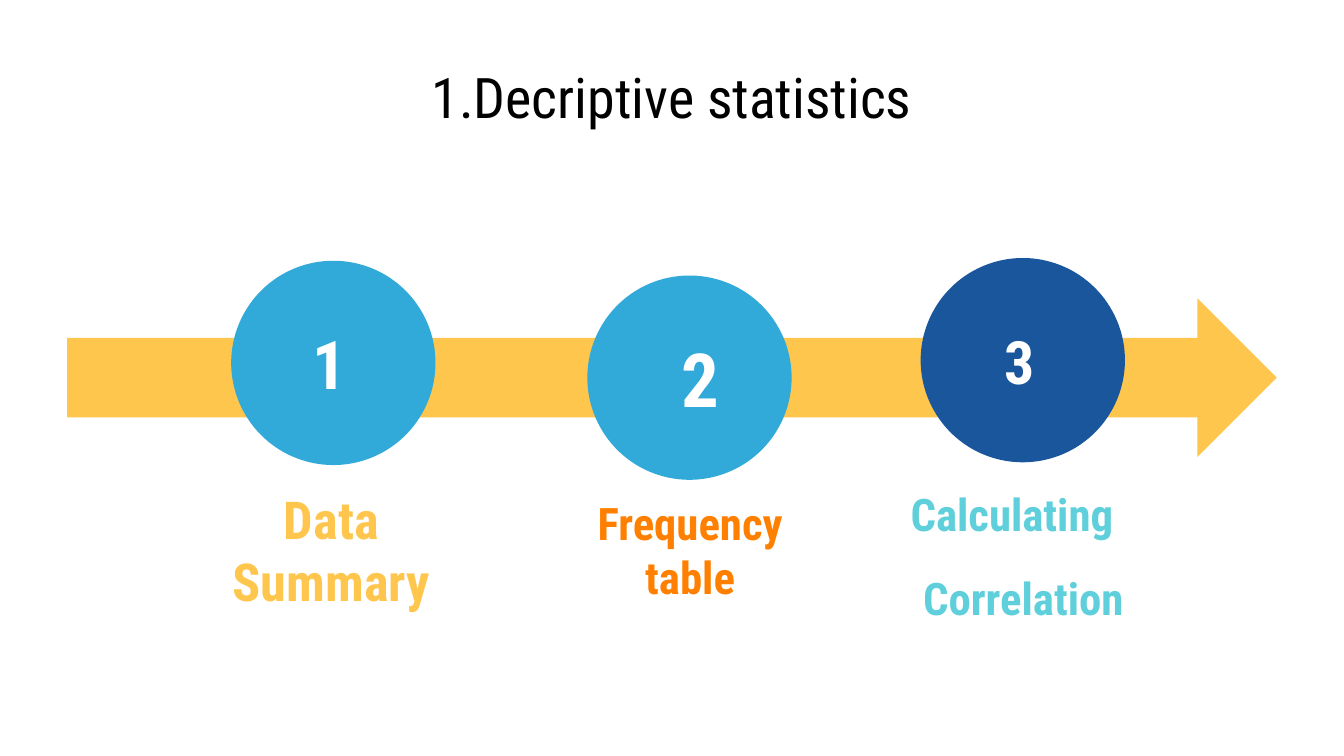
from dataclasses import dataclass

from pptx import Presentation
from pptx.dml.color import RGBColor as RGB
from pptx.enum.shapes import MSO_SHAPE as Shape
from pptx.enum.text import MSO_ANCHOR as Anchor, PP_ALIGN as Align
from pptx.util import Inches, Pt


@dataclass(frozen=True)
class Theme:
    font: str = "Roboto Condensed"
    black: str = "000000"
    white: str = "FFFFFF"
    yellow: str = "FFC64E"
    sky: str = "32AAD9"
    navy: str = "1A569C"
    orange: str = "FF8001"
    aqua: str = "5FD0DB"
    title: int = 30
    label: int = 24
    label_big: int = 28
    gap: int = 16


T = Theme()

prs = Presentation()
prs.slide_width = Inches(10)
prs.slide_height = prs.slide_width * 9 // 16
slide = prs.slides.add_slide(prs.slide_layouts[6])
CELL = prs.slide_width // 100  # square grid, 100 columns across


def cells(*counts):
    return [round(n * CELL) for n in counts]


def write(sp, lines, size, color, bold, align, insets):
    """Fill a shape with one paragraph per line; insets are left, top, right, bottom in cells."""
    tf = sp.text_frame
    tf.word_wrap = True
    tf.vertical_anchor = Anchor.MIDDLE
    tf.margin_left, tf.margin_top, tf.margin_right, tf.margin_bottom = cells(*insets)
    for i, line in enumerate(lines):
        p = tf.paragraphs[0] if i == 0 else tf.add_paragraph()
        p.alignment = align
        if i:
            p.space_before = Pt(T.gap)
        r = p.add_run()
        r.text = line
        r.font.name, r.font.size, r.font.bold = T.font, Pt(size), bold
        r.font.color.rgb = RGB.from_string(color)


title = slide.shapes.add_textbox(*cells(5, 4.5, 90, 5.3))
write(title, ["1.Decriptive statistics"], T.title, T.black, False, Align.CENTER, (1, 1, 1, 1))

arrow = slide.shapes.add_shape(Shape.RIGHT_ARROW, *cells(5, 22.2, 90, 11.8))
arrow.shadow.inherit = False
arrow.fill.solid()
arrow.fill.fore_color.rgb = RGB.from_string(T.yellow)
arrow.line.fill.background()

# number, left, top, fill, type size, left inset
DIAMETER = 15.2
steps = [
    ("1", 17.2, 19.4, T.sky, 36, 3.8),
    ("2", 43.7, 20.5, T.sky, 40, 4.8),
    ("3", 68.5, 19.2, T.navy, 32, 4),
]
for number, left, top, fill, size, inset in steps:
    sp = slide.shapes.add_shape(Shape.OVAL, *cells(left, top, DIAMETER, DIAMETER))
    sp.shadow.inherit = False
    sp.fill.solid()
    sp.fill.fore_color.rgb = RGB.from_string(fill)
    sp.line.fill.background()
    write(sp, [number], size, T.white, True, Align.LEFT, (inset, 1, 1, 1))

# lines, left, top, width, type size, colour, alignment, bottom inset
LABEL_HEIGHT = 7.7
labels = [
    (["Data Summary"], 13.5, 38.4, 22.3, T.label_big, T.yellow, Align.CENTER, 2.7),
    (["Frequency table"], 40.2, 38.4, 22.3, T.label, T.orange, Align.CENTER, 2.7),
    (["Calculating ", "Correlation"], 47.5, 37.5, 38.6, T.label, T.aqua, Align.RIGHT, 0),
]
for lines, left, top, width, size, color, align, bottom in labels:
    sp = slide.shapes.add_textbox(*cells(left, top, width, LABEL_HEIGHT))
    write(sp, lines, size, color, True, align, (2.5, 0, 2.5, bottom))

prs.save("out.pptx")
